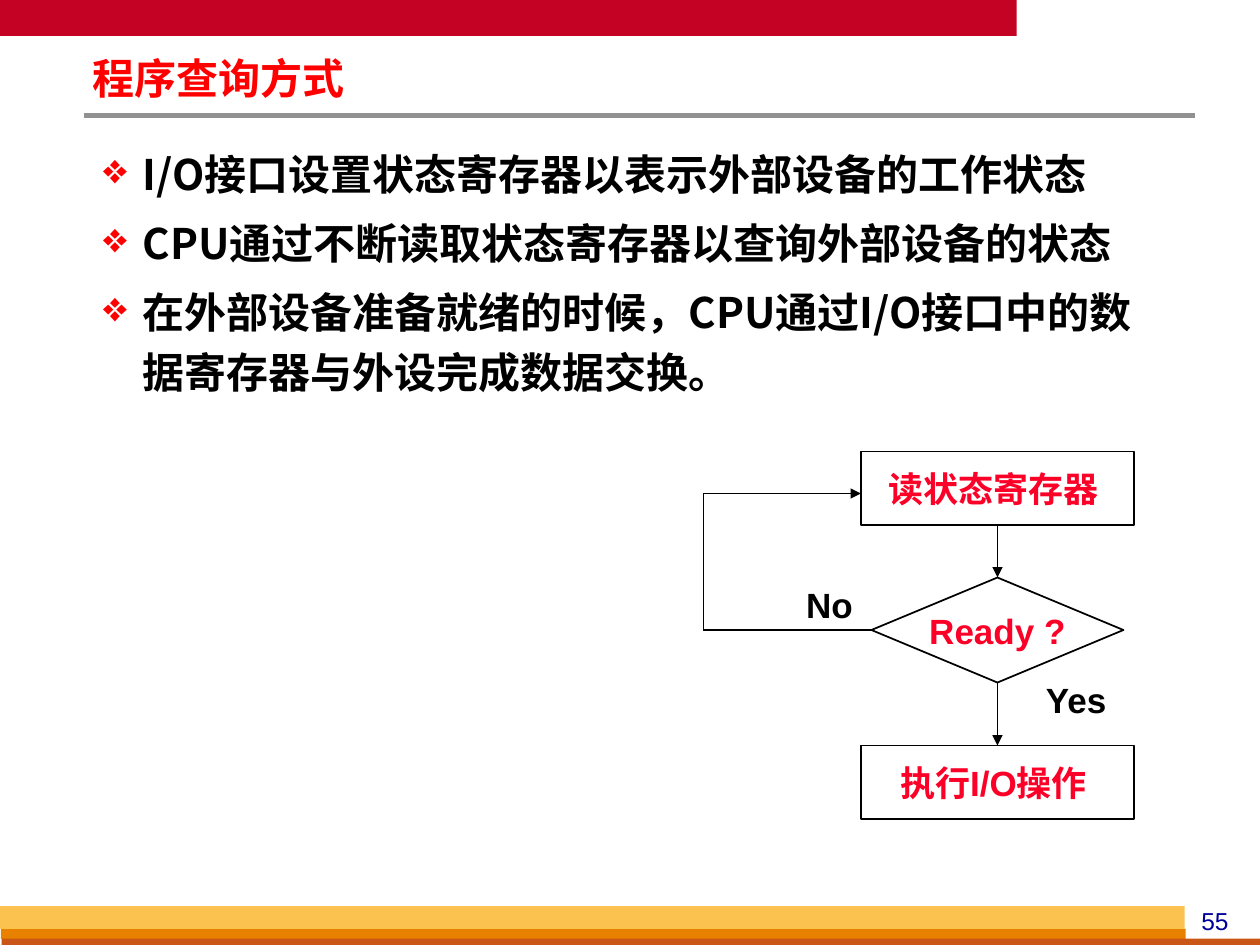
from lxml import etree
from pptx import Presentation
from pptx.dml.color import RGBColor
from pptx.enum import shapes, text
from pptx.oxml import ns
from pptx.util import Pt

COLORS = {
    "banner": "C30224", "rule": "919191", "orange": "E88000",
    "rust": "C95616", "amber": "FCC24F", "navy": "000099",
    "red": "FF0000", "crimson": "FC0128", "black": "000000",
}
CJK = "Noto Sans CJK SC"
SHAPE = shapes.MSO_SHAPE
ALIGN = text.PP_ALIGN
ANCHOR = text.MSO_ANCHOR
POINTS = [
    "I/O接口设置状态寄存器以表示外部设备的工作状态",
    "CPU通过不断读取状态寄存器以查询外部设备的状态",
    "在外部设备准备就绪的时候，CPU通过I/O接口中的数据寄存器与外设完成数据交换。",
]


def rgb(name):
    return RGBColor.from_string(COLORS[name])


def pts(*values):
    return [Pt(v) for v in values]


def assign(obj, values):
    for name, value in values.items():
        setattr(obj, name, value)


def add_element(parent, tag, **attrs):
    return etree.SubElement(parent, ns.qn(tag), attrs)


def add_run(p, words, size, color, font="Arial", bold=True):
    r = p.add_run()
    r.text = words
    assign(r.font, {"size": Pt(size), "bold": bold, "name": font})
    r.font.color.rgb = rgb(color)
    if font == CJK:
        add_element(r.font._element, "a:ea", typeface=font)


def set_frame(tf, anchor=ANCHOR.TOP, wrap=True, insets=(7.2, 3.6)):
    x, y = pts(*insets)
    assign(tf, {
        "word_wrap": wrap, "vertical_anchor": anchor,
        "margin_left": x, "margin_right": x,
        "margin_top": y, "margin_bottom": y,
    })


def add_band(s, box, color):
    sp = s.shapes.add_shape(SHAPE.RECTANGLE, *pts(*box))
    sp.shadow.inherit = False
    sp.fill.solid()
    sp.fill.fore_color.rgb = rgb(color)
    sp.line.fill.background()


def add_line(s, start, end, color="black", width=1, arrow=False, joins=()):
    c = s.shapes.add_connector(shapes.MSO_CONNECTOR.STRAIGHT, *pts(*start, *end))
    c.line.color.rgb = rgb(color)
    c.line.width = Pt(width)
    if arrow:
        add_element(c.line._get_or_add_ln(), "a:tailEnd", type="triangle")
    add_element(c._element.spPr, "a:effectLst")
    if joins:
        first, second = joins
        if first:
            c.begin_connect(*first)
        if second:
            c.end_connect(*second)


def add_label(s, box, words, size=20, color="black", bold=True):
    tf = s.shapes.add_textbox(*pts(*box)).text_frame
    set_frame(tf)
    p = tf.paragraphs[0]
    p.alignment = ALIGN.CENTER
    add_run(p, words, size, color, bold=bold)


def add_step(s, kind, box, words):
    sp = s.shapes.add_shape(kind, *pts(*box))
    sp.shadow.inherit = False
    sp.fill.background()
    sp.line.color.rgb = rgb("black")
    sp.line.width = Pt(1)
    set_frame(sp.text_frame, ANCHOR.MIDDLE, wrap=False)
    p = sp.text_frame.paragraphs[0]
    p.alignment = ALIGN.CENTER
    add_run(p, words, 20, "crimson")
    return sp


def set_title(s, words):
    sp = s.shapes.title
    assign(sp, dict(zip(("left", "top", "width", "height"), pts(48, 32, 414, 29.5))))
    tf = sp.text_frame
    set_frame(tf, insets=(5, 2.2))
    tf.auto_size = text.MSO_AUTO_SIZE.NONE
    p = tf.paragraphs[0]
    assign(p, {"alignment": ALIGN.LEFT, "line_spacing": 0.87})
    add_run(p, words, 24, "red", CJK)


def add_bullets(s, box, items):
    tf = s.shapes.add_textbox(*pts(*box)).text_frame
    set_frame(tf, insets=(5, 2.2))
    for i, item in enumerate(items):
        p = tf.paragraphs[0] if i == 0 else tf.add_paragraph()
        assign(p, {"line_spacing": 1.2, "space_after": Pt(2.4)})
        if i:
            p.space_before = Pt(2.4)
        pPr = p._p.get_or_add_pPr()
        pPr.set("marL", str(Pt(22.5)))
        pPr.set("indent", str(-Pt(22.5)))
        color = add_element(pPr, "a:buClr")
        add_element(color, "a:srgbClr", val=COLORS["red"])
        add_element(pPr, "a:buChar", char="❖")
        add_run(p, item, 24, "black", CJK)


def add_flowchart(s):
    read = add_step(s, SHAPE.RECTANGLE, (492, 258, 156, 42), "读状态寄存器 ")
    ready = add_step(s, SHAPE.DIAMOND, (498, 330, 144, 60), "Ready ?")
    run = add_step(s, SHAPE.RECTANGLE, (492, 426, 156, 42), "执行I/O操作 ")
    add_line(s, (570, 300), (570, 330), arrow=True, joins=((read, 2), (ready, 0)))
    add_line(s, (570, 390), (570, 426), arrow=True, joins=((ready, 2), (run, 0)))
    add_line(s, (498, 360), (402, 360), joins=((ready, 1), None))
    add_line(s, (402, 360), (402, 282))
    add_line(s, (402, 282), (492, 282), arrow=True)
    add_label(s, (444, 330, 60, 31), "No")
    add_label(s, (582, 384, 66, 31), "Yes")


def main():
    prs = Presentation()
    prs.slide_width, prs.slide_height = pts(720, 540)
    s = prs.slides.add_slide(prs.slide_layouts[5])
    add_band(s, (0, 0, 581, 20.5), "banner")
    add_line(s, (48, 65.8), (683, 65.8), "rule", 3)
    add_band(s, (0.5, 530.8, 677, 5.7), "orange")
    add_band(s, (0.9, 536.4, 719.1, 3.6), "rust")
    add_band(s, (0, 517.8, 677, 13), "amber")
    add_label(s, (671.5, 514, 45.5, 24), "55", 14, "navy", bold=False)
    set_title(s, "程序查询方式")
    add_bullets(s, (54, 77, 618, 153), POINTS)
    add_flowchart(s)
    prs.save("out.pptx")


if __name__ == "__main__":
    main()
